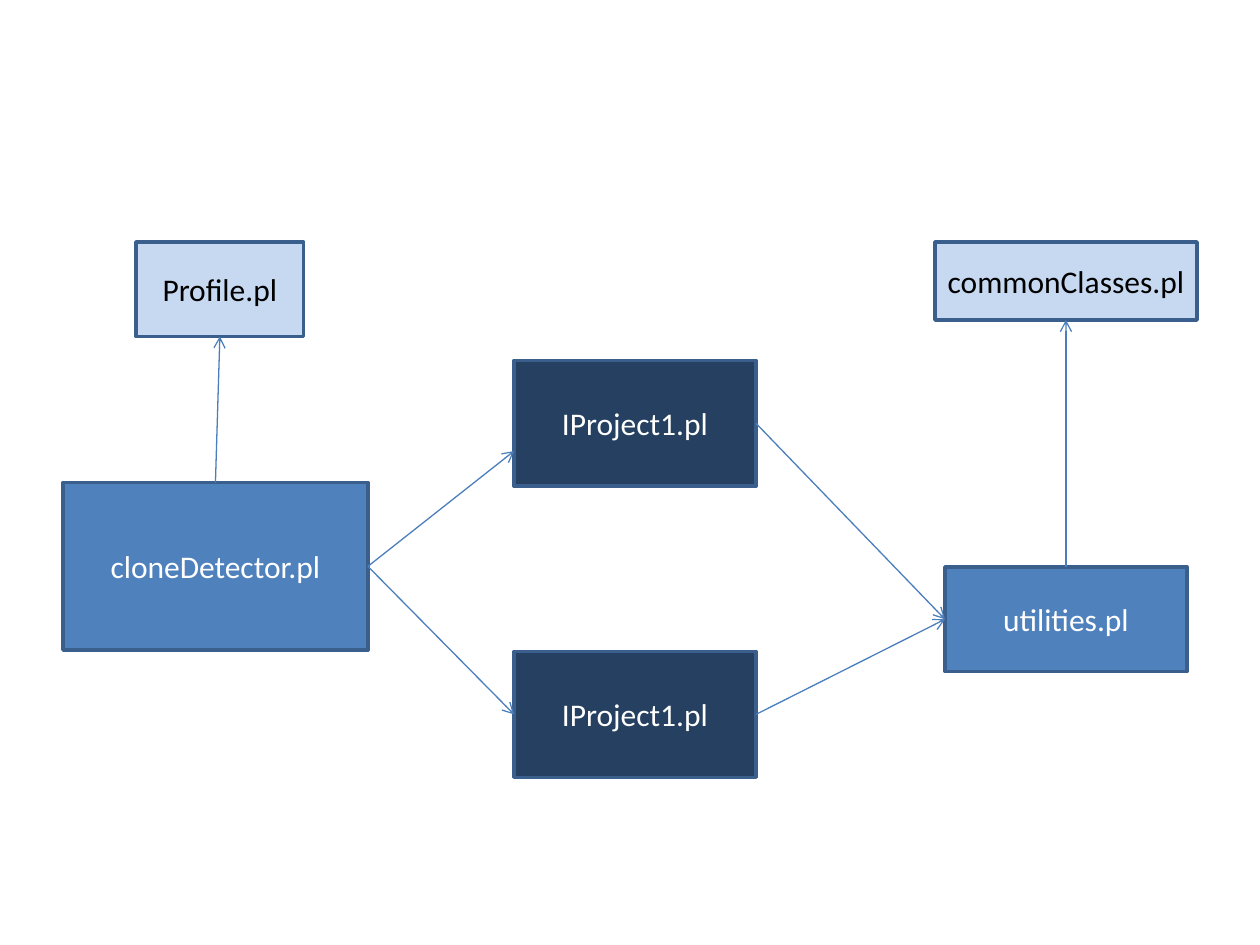
from lxml import etree
from pptx import Presentation
from pptx.dml.color import RGBColor
from pptx.enum import shapes, text
from pptx.oxml import ns
from pptx.util import Inches, Pt


def paint(target, colour):
    """Give a fill a solid colour."""
    target.solid()
    target.fore_color.rgb = RGBColor.from_string(colour)


deck = Presentation()
deck.slide_width, deck.slide_height = Inches(10), Inches(7.5)
page = deck.slides.add_slide(deck.slide_layouts[6])

# File boxes: key, label, left, top, width, height, style
styles = {
    "main": ("4F81BD", "FFFFFF"),
    "project": ("254061", "FFFFFF"),
    "support": ("C6D9F1", "000000"),
}
files = [
    ("detector", "cloneDetector.pl", 0.5, 3.83, 2.42, 1.33, "main"),
    ("profile", "Profile.pl", 1.08, 1.92, 1.33, 0.75, "support"),
    ("upper project", "IProject1.pl", 4.08, 2.86, 1.92, 1, "project"),
    ("lower project", "IProject1.pl", 4.08, 5.17, 1.92, 1, "project"),
    ("classes", "commonClasses.pl", 7.42, 1.92, 2.08, 0.62, "support"),
    ("utilities", "utilities.pl", 7.5, 4.5, 1.92, 0.83, "main"),
]
frame_format = {
    "word_wrap": True,
    "vertical_anchor": text.MSO_ANCHOR.MIDDLE,
    "margin_left": Inches(0.05),
    "margin_right": Inches(0.05),
}
font_format = {"name": "Calibri", "size": Pt(18)}
boxes = {}
for key, label, left, top, width, height, style in files:
    fill, ink = styles[style]
    box = page.shapes.add_shape(
        shapes.MSO_SHAPE.RECTANGLE,
        Inches(left), Inches(top), Inches(width), Inches(height))
    box.shadow.inherit = False
    paint(box.fill, fill)
    paint(box.line.fill, "3A5F8C")
    box.line.width = Pt(2)
    for field, value in frame_format.items():
        setattr(box.text_frame, field, value)
    para = box.text_frame.paragraphs[0]
    para.alignment = text.PP_ALIGN.CENTER
    span = para.add_run()
    span.text = label
    for field, value in font_format.items():
        setattr(span.font, field, value)
    paint(span.font.fill, ink)
    boxes[key] = box

# Arrows between sides: 0 top, 1 left, 2 bottom, 3 right
# The first one ends below the middle of its side, so its end is free.
free_end = Inches(4.08), Inches(3.58)
arrows = [
    ("detector", 3, None, None),
    ("detector", 3, "lower project", 1),
    ("detector", 0, "profile", 2),
    ("upper project", 3, "utilities", 1),
    ("lower project", 3, "utilities", 1),
    ("utilities", 0, "classes", 2),
]
for source, source_side, target, target_side in arrows:
    arrow = page.shapes.add_connector(
        shapes.MSO_CONNECTOR.STRAIGHT, *free_end, *free_end)
    arrow.begin_connect(boxes[source], source_side)
    if target:
        arrow.end_connect(boxes[target], target_side)
    paint(arrow.line.fill, "4B7EBC")
    arrow.line.width = Pt(0.75)
    outline = arrow.element.find(".//" + ns.qn("a:ln"))
    etree.SubElement(outline, ns.qn("a:tailEnd"), type="arrow")
    etree.SubElement(outline.getparent(), ns.qn("a:effectLst"))

deck.save("out.pptx")
